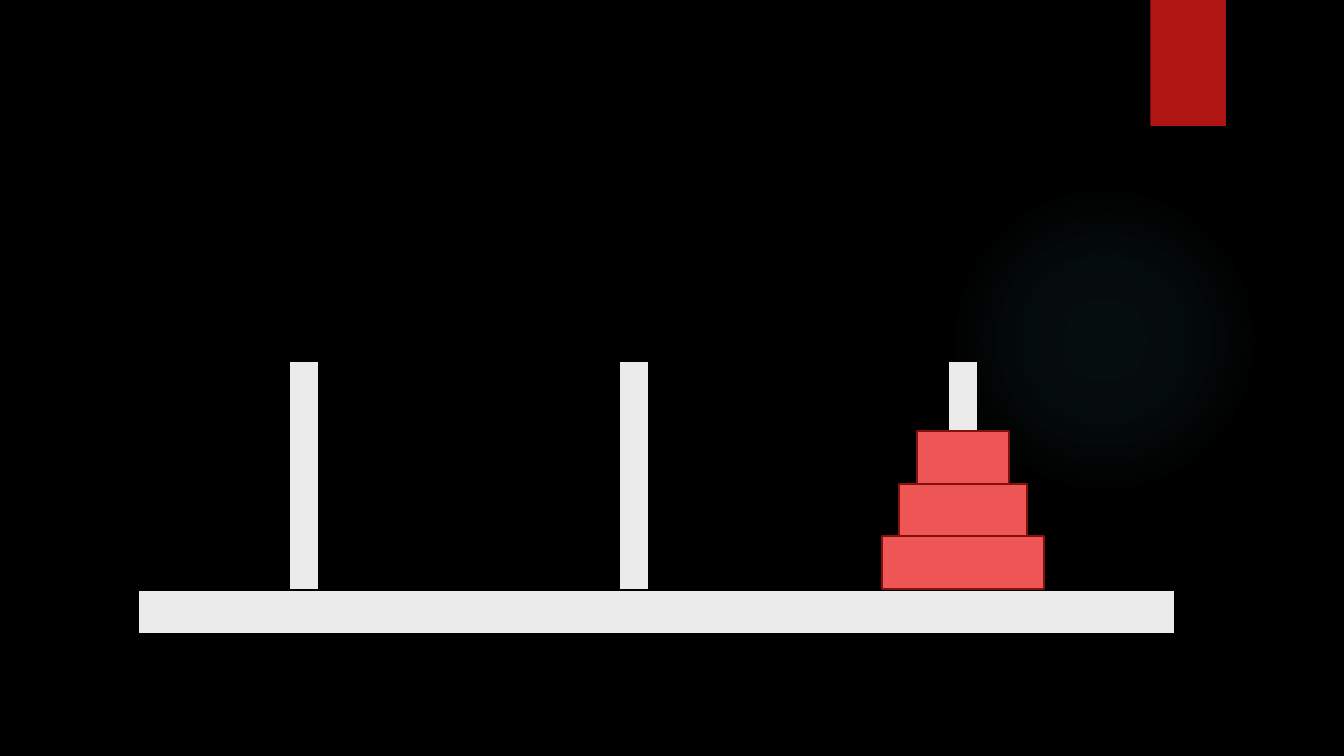
from lxml import etree
from pptx import Presentation
from pptx.dml.color import RGBColor
from pptx.enum.shapes import MSO_SHAPE
from pptx.oxml import parse_xml
from pptx.oxml.ns import nsdecls, qn
from pptx.util import Inches, Pt

RECTANGLE = MSO_SHAPE.RECTANGLE
OVAL = MSO_SHAPE.OVAL
BLACK = RGBColor(0x00, 0x00, 0x00)
LIGHT_GRAY = RGBColor(0xEB, 0xEB, 0xEB)
CORAL = RGBColor(0xED, 0x56, 0x54)
DARK_RED = RGBColor(0x82, 0x10, 0x0E)
RED = RGBColor(0xB0, 0x15, 0x13)
TEAL = RGBColor(0x50, 0xB9, 0xC1)

BLANK_LAYOUT = 6
BASE_TOP = 5.85
PEG_CENTERS = (3.02, 6.29, 9.55)
PEG_WIDTH = 0.3
PEG_HEIGHT = 2.27
DISK_WIDTHS = (1.61, 1.27, 0.91)
DISK_HEIGHT = 0.52
GLOW_STOPS = ((0, 7), (36, 6), (69, 0))


def add_plain_shape(slide, kind, left, top, width, height):
    shape = slide.shapes.add_shape(
        kind, Inches(left), Inches(top), Inches(width), Inches(height))
    shape.shadow.inherit = False
    shape.line.fill.background()
    return shape


def add_block(slide, left, top, width, height, fill, line=None):
    block = add_plain_shape(slide, RECTANGLE, left, top, width, height)
    block.fill.solid()
    block.fill.fore_color.rgb = fill
    if line is not None:
        block.line.color.rgb = line
        block.line.width = Pt(1.5)
    return block


def add_glow(slide, left, top, size):
    glow = add_plain_shape(slide, OVAL, left, top, size, size)
    stops = "".join(
        f'<a:gs pos="{position * 1000}"><a:srgbClr val="{TEAL}">'
        f'<a:alpha val="{opacity * 1000}"/></a:srgbClr></a:gs>'
        for position, opacity in GLOW_STOPS)
    gradient = parse_xml(
        f'<a:gradFill {nsdecls("a")}><a:gsLst>{stops}</a:gsLst>'
        '<a:path path="circle"><a:fillToRect l="50000" t="50000" '
        'r="50000" b="50000"/></a:path></a:gradFill>')
    glow.element.spPr.find(qn("a:prstGeom")).addnext(gradient)


def add_shadow(shape):
    effects = shape.element.spPr.find(qn("a:effectLst"))
    shadow = etree.SubElement(
        effects, qn("a:outerShdw"), blurRad=str(Pt(3)), dist=str(Pt(2)),
        dir="5400000", rotWithShape="0")
    color = etree.SubElement(shadow, qn("a:srgbClr"), val=str(BLACK))
    etree.SubElement(color, qn("a:alpha"), val="45000")


def add_tower(slide):
    add_block(slide, 1.37, BASE_TOP, 10.28, 0.44, LIGHT_GRAY, BLACK)
    for center in PEG_CENTERS:
        add_block(slide, center - PEG_WIDTH / 2, BASE_TOP - PEG_HEIGHT,
                  PEG_WIDTH, PEG_HEIGHT, LIGHT_GRAY, BLACK)
    for level, width in enumerate(DISK_WIDTHS, start=1):
        add_block(slide, PEG_CENTERS[-1] - width / 2,
                  BASE_TOP - 0.01 - level * DISK_HEIGHT,
                  width, DISK_HEIGHT, CORAL, DARK_RED)


def main():
    presentation = Presentation()
    presentation.slide_width = Inches(13.33)
    presentation.slide_height = Inches(7.5)
    slide = presentation.slides.add_slide(
        presentation.slide_layouts[BLANK_LAYOUT])
    slide.background.fill.solid()
    slide.background.fill.fore_color.rgb = BLACK
    add_glow(slide, 9.41, 1.83, 3.08)
    add_shadow(add_block(slide, 11.41, 0, 0.75, 1.25, RED))
    add_tower(slide)
    presentation.save("out.pptx")


if __name__ == "__main__":
    main()
